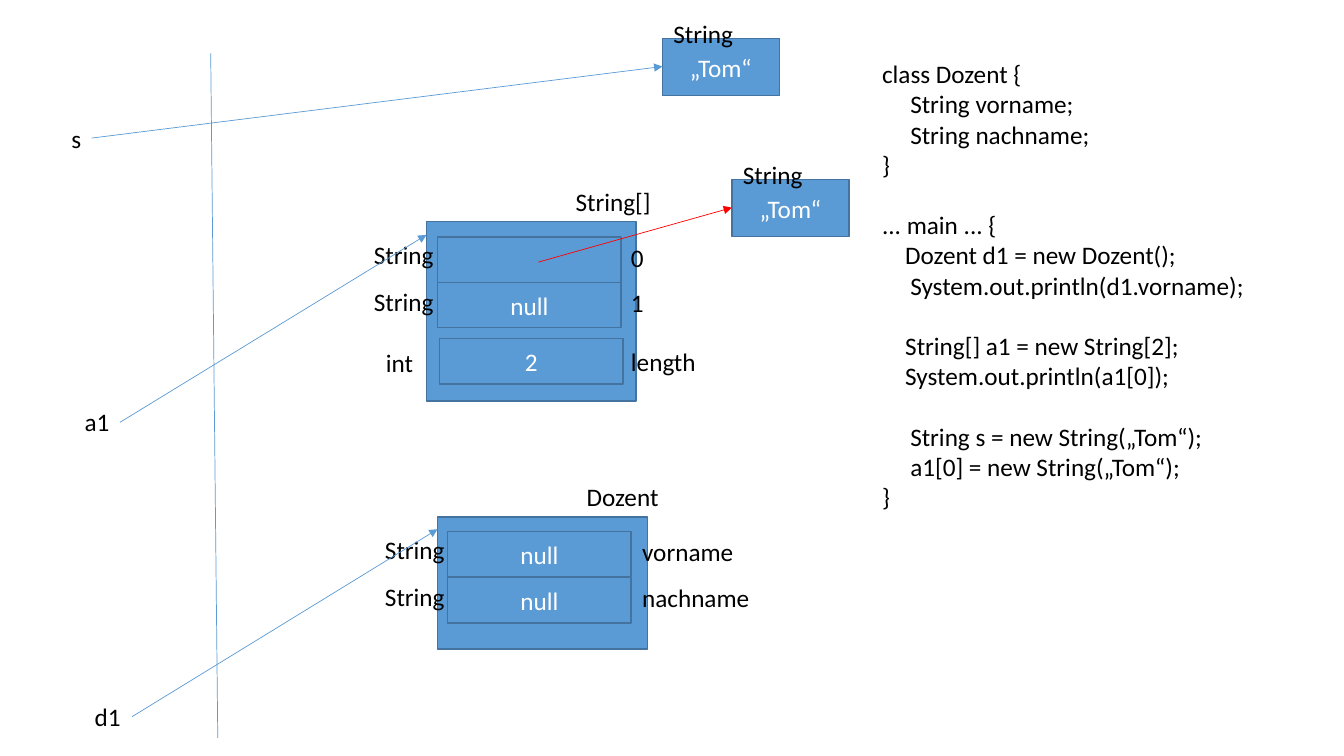
from pptx import Presentation
from pptx.dml.color import RGBColor
from pptx.enum.shapes import MSO_CONNECTOR as Connector, MSO_SHAPE as Shape
from pptx.enum.text import MSO_ANCHOR as Anchor, MSO_AUTO_SIZE as AutoSize, PP_ALIGN as Align
from pptx.oxml.ns import qn
from pptx.util import Inches, Pt
from lxml.etree import SubElement

BLUE = RGBColor(0x5B, 0x9B, 0xD5)
DARK_BLUE = RGBColor(0x43, 0x73, 0x9E)
RED = RGBColor(0xFF, 0, 0)
BLACK = RGBColor(0, 0, 0)
WHITE = RGBColor(0xFF, 0xFF, 0xFF)
LINE_HEIGHT = 21.6

# Code: (indent in inches, empty lines before, text)
CODE = [
    (0, 0, "class Dozent {"),
    (0.28, 0, "String vorname;"),
    (0.28, 0, "String nachname;"),
    (0, 0, "}"),
    (0, 1, "... main ... {"),
    (0.23, 0, "Dozent d1 = new Dozent();"),
    (0.28, 0, "System.out.println(d1.vorname);"),
    (0.23, 1, "String[] a1 = new String[2];"),
    (0.23, 0, "System.out.println(a1[0]);"),
    (0.28, 1, "String s = new String(„Tom“);"),
    (0.28, 0, "a1[0] = new String(„Tom“);"),
    (0, 0, "}"),
]
# Stack variables: (name, left, top, width)
VARIABLES = [("s", 0.61, 1.17, 0.3), ("a1", 0.74, 3.98, 0.45), ("d1", 0.84, 6.91, 0.46)]
# Strings on the heap: (value, left, top)
STRINGS = [("„Tom“", 6.57, 0.38), ("„Tom“", 7.26, 1.78)]
# Heap objects: class, left, top, height, fields
# Field: (type, type offset, value, name, cell left offset, cell top offset)
OBJECTS = [
    ("Dozent", 4.34, 5.13, 1.31, [
        ("String", (-0.62, 0.12), "null", "vorname", 0.1, 0.14),
        ("String", (-0.62, 0.59), "null", "nachname", 0.1, 0.6)]),
    ("String[]", 4.23, 2.2, 1.78, [
        ("String", (-0.62, 0.13), "", "0", 0.11, 0.15),
        ("String", (-0.62, 0.59), "null", "1", 0.11, 0.6),
        ("int", (-0.5, 1.2), "2", "length", 0.13, 1.16)]),
]
# References: (start, end, colour)
REFERENCES = [
    ((1.31, 7.11), (4.34, 5.25), BLUE),
    ((1.19, 4.19), (4.23, 2.33), BLUE),
    ((0.91, 1.37), (6.57, 0.66), BLUE),
    ((5.34, 2.6), (7.26, 2.06), RED),
]
LABEL_WIDTHS = {"String": 0.8, "int": 0.47, "vorname": 1.12, "nachname": 1.28,
                "0": 0.33, "1": 0.33, "length": 0.85, "Dozent": 0.92, "String[]": 0.95}

deck = Presentation()
deck.slide_width, deck.slide_height = Inches(13.33), Inches(7.5)
page = deck.slides.add_slide(deck.slide_layouts[6])


def style_text(frame, color):
    for para in frame.paragraphs:
        for span in para.runs:
            span.font.name, span.font.size = "Calibri", Pt(18)
            span.font.color.rgb = color


def add_label(text, left, top, width=None, height=0.4):
    width = width or LABEL_WIDTHS[text]
    box = page.shapes.add_textbox(Inches(left), Inches(top), Inches(width), Inches(height))
    frame = box.text_frame
    frame.word_wrap, frame.auto_size = False, AutoSize.SHAPE_TO_FIT_TEXT
    frame.text = text
    style_text(frame, BLACK)
    return frame


def add_box(left, top, width, height, text=""):
    box = page.shapes.add_shape(Shape.RECTANGLE, Inches(left), Inches(top),
                                Inches(width), Inches(height))
    box.shadow.inherit = False
    box.fill.solid()
    box.fill.fore_color.rgb = BLUE
    box.line.color.rgb, box.line.width = DARK_BLUE, Pt(1)
    if text:
        frame = box.text_frame
        frame.text, frame.vertical_anchor = text, Anchor.MIDDLE
        frame.paragraphs[0].alignment = Align.CENTER
        style_text(frame, WHITE)


def add_line(start, end, color, arrow=False):
    line = page.shapes.add_connector(Connector.STRAIGHT, *map(Inches, start + end))
    line.line.color.rgb, line.line.width = color, Pt(0.5)
    if arrow:
        SubElement(line.line._get_or_add_ln(), qn("a:tailEnd"), type="triangle")
    SubElement(line._element.spPr, qn("a:effectLst"))


# Code listing
listing = add_label("\n".join(text for _, _, text in CODE), 8.65, 0.53, 3.83, 4.64)
for para, (indent, gap, _) in zip(listing.paragraphs, CODE):
    para.space_before = Pt(gap * LINE_HEIGHT)
    properties = para._p.get_or_add_pPr()
    properties.set("marL", str(Inches(indent)))
    properties.set("indent", "0")

# Border between stack and heap
add_line((2.09, 0.53), (2.16, 7.32), BLUE)

# Stack variables
for variable in VARIABLES:
    add_label(*variable)

# Heap objects with their fields
for class_name, left, top, height, fields in OBJECTS:
    add_box(left, top, 2.08, height)
    add_label(class_name, left + 1.38, top - 0.4)
    for kind, (kind_x, kind_y), value, name, cell_x, cell_y in fields:
        add_box(left + cell_x, top + cell_y, 1.82, 0.45, value)
        add_label(kind, left + kind_x, top + kind_y)
        add_label(name, left + 1.93, top + min(cell_y, 1.19) + (0.03 if kind == "int" else 0))

# Strings on the heap
for value, left, top in STRINGS:
    add_box(left, top, 1.16, 0.57, value)
    add_label("String", left + 0.01, top - 0.25)

# References
for start, end, color in REFERENCES:
    add_line(start, end, color, arrow=True)

deck.save("out.pptx")
